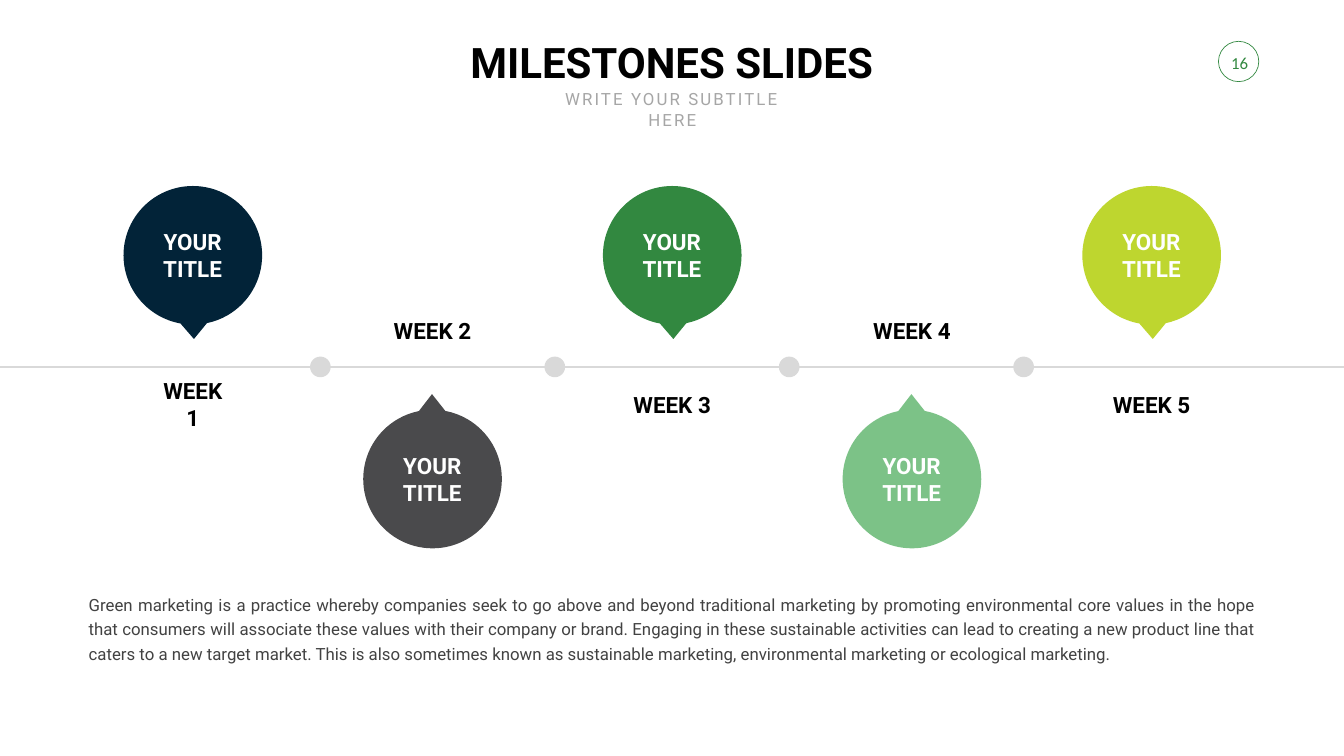
from lxml import etree
from pptx import Presentation
from pptx.dml.color import RGBColor
from pptx.enum.shapes import MSO_CONNECTOR, MSO_SHAPE
from pptx.enum.text import MSO_ANCHOR as Anchor, MSO_AUTO_SIZE as AutoSize, PP_ALIGN as Align
from pptx.oxml.ns import qn
from pptx.util import Inches, Pt

BLACK = RGBColor(0x00, 0x00, 0x00)
WHITE = RGBColor(0xFF, 0xFF, 0xFF)
NAVY = RGBColor(0x02, 0x23, 0x38)
CHARCOAL = RGBColor(0x4A, 0x4A, 0x4C)
GREEN = RGBColor(0x32, 0x88, 0x40)
MINT = RGBColor(0x7C, 0xC2, 0x87)
LIME = RGBColor(0xBE, 0xD6, 0x2F)
LIGHT_GRAY = RGBColor(0xD9, 0xD9, 0xD9)
SUBTITLE_GRAY = RGBColor(0xA6, 0xA6, 0xA6)
TEXT_GRAY = RGBColor(0x42, 0x42, 0x42)

PIN_COLORS = [NAVY, CHARCOAL, GREEN, MINT, LIME]
PIN_SIZE, PIN_LEFT, PIN_STEP = 2.75, 2.45, 4.755
DOT_SIZE, DOT_LEFT, DOT_STEP = 0.41, 6.15, 4.65
LINE_TOP = 7.28

HEADING = {"name": "Roboto", "size": Pt(60), "bold": True}
SUBTITLE = {"name": "Roboto", "size": Pt(24), "bold": False}
LABEL = {"name": "Roboto", "size": Pt(32), "bold": True}
NUMBER = {"name": "Calibri", "size": Pt(24), "bold": False}


def write(shape, text, font_format, color, align=Align.CENTER, anchor=Anchor.MIDDLE):
    """Fill a shape with one formatted paragraph and return that paragraph."""
    frame = shape.text_frame
    frame.text = text
    frame_format = {"word_wrap": True, "vertical_anchor": anchor, "auto_size": AutoSize.NONE}
    for name, value in frame_format.items():
        setattr(frame, name, value)
    paragraph = frame.paragraphs[0]
    paragraph.alignment = align
    font = paragraph.runs[0].font
    for name, value in font_format.items():
        setattr(font, name, value)
    font.color.rgb = color
    return paragraph


def add_shape(kind, left, top, size, fill=None):
    shape = slide.shapes.add_shape(kind, Inches(left), Inches(top), Inches(size), Inches(size))
    shape.shadow.inherit = False
    shape.line.fill.background()
    if fill is None:
        shape.fill.background()
    else:
        shape.fill.solid()
        shape.fill.fore_color.rgb = fill
    return shape


presentation = Presentation()
presentation.slide_width = Inches(26.66)
presentation.slide_height = Inches(15)
slide = presentation.slides.add_slide(presentation.slide_layouts[5])

# Heading and page number
title = slide.shapes.title
title.left, title.top = Inches(9.18), Inches(0.67)
title.width, title.height = Inches(8.29), Inches(1.11)
write(title, "MILESTONES SLIDES", HEADING, BLACK)

subtitle = slide.shapes.add_textbox(Inches(10.62), Inches(1.72), Inches(5.43), Inches(0.5))
paragraph = write(subtitle, "WRITE YOUR SUBTITLE HERE", SUBTITLE, SUBTITLE_GRAY, anchor=Anchor.TOP)
paragraph.runs[0].font._element.set("spc", "300")

number = add_shape(MSO_SHAPE.OVAL, 24.19, 0.85, 0.8)
write(number, "16", NUMBER, GREEN)
number.text_frame.word_wrap = False
ring = add_shape(MSO_SHAPE.OVAL, 24.17, 0.82, 0.8)
ring.line.color.rgb = GREEN
ring.line.width = Pt(1)

# Timeline with dots between the weeks
timeline = slide.shapes.add_connector(
    MSO_CONNECTOR.STRAIGHT, presentation.slide_width, Inches(LINE_TOP), 0, Inches(LINE_TOP))
timeline.line.color.rgb = LIGHT_GRAY
timeline.line.width = Pt(3)
etree.SubElement(timeline._element.spPr, qn("a:effectLst"))
for index in range(4):
    add_shape(MSO_SHAPE.OVAL, DOT_LEFT + index * DOT_STEP, LINE_TOP - DOT_SIZE / 2, DOT_SIZE, LIGHT_GRAY)

# Pins alternate above and below the line, week labels on the other side
for index, color in enumerate(PIN_COLORS):
    above = index % 2 == 0
    left = PIN_LEFT + index * PIN_STEP
    center = left + PIN_SIZE / 2
    pin_top, week_top = (3.69, 7.7) if above else (8.13, 6.23)

    pin = add_shape(MSO_SHAPE.OVAL_CALLOUT, left, pin_top, PIN_SIZE, color)
    pin.adjustments[0], pin.adjustments[1] = (0.008, 0.604) if above else (-0.004, -0.613)

    caption = slide.shapes.add_textbox(
        Inches(center - 0.85), Inches(pin_top + 0.78), Inches(1.69), Inches(1.18))
    write(caption, "YOUR TITLE", LABEL, WHITE)

    week_width = 1.7 if index == 0 else 1.9
    week = slide.shapes.add_textbox(
        Inches(center - week_width / 2), Inches(week_top), Inches(week_width), Inches(0.64))
    write(week, f"WEEK {index + 1}", LABEL, BLACK)

# Description
description = slide.shapes.add_textbox(Inches(1.66), Inches(11.68), Inches(23.33), Inches(1.52))
paragraph = write(
    description,
    "Green marketing is a practice whereby companies seek to go above and beyond traditional "
    "marketing by promoting environmental core values in the hope that consumers will associate "
    "these values with their company or brand. Engaging in these sustainable activities can lead "
    "to creating a new product line that caters to a new target market. This is also sometimes "
    "known as sustainable marketing, environmental marketing or ecological marketing.",
    SUBTITLE, TEXT_GRAY, Align.JUSTIFY)
paragraph.line_spacing = Pt(35)

presentation.save("out.pptx")
